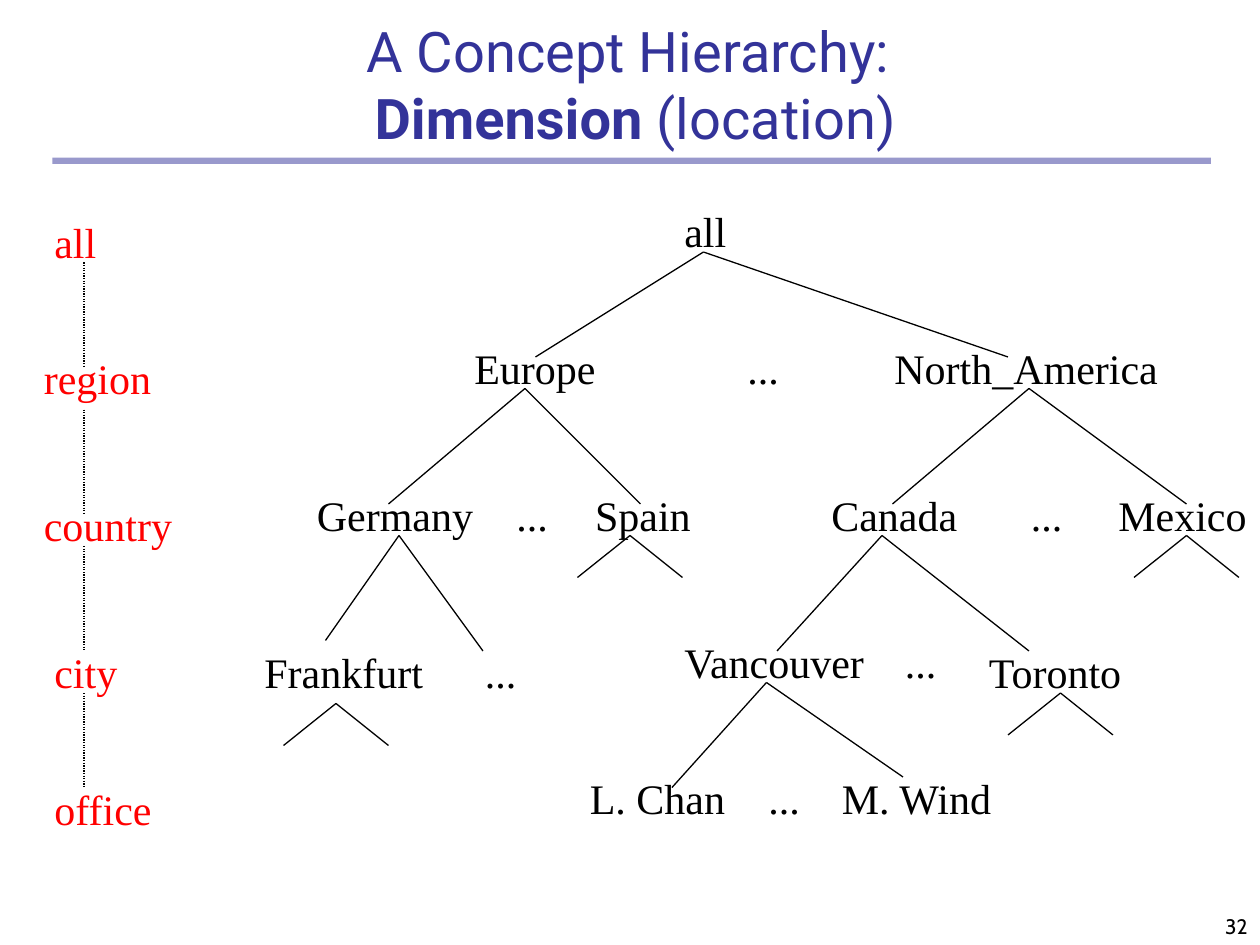
import pptx
import pptx.dml.color
import pptx.enum.dml
import pptx.enum.shapes
import pptx.enum.text
import pptx.oxml.ns
import pptx.util
from lxml import etree

Pt = pptx.util.Pt
Anchor = pptx.enum.text.MSO_ANCHOR
Align = pptx.enum.text.PP_ALIGN
Fit = pptx.enum.text.MSO_AUTO_SIZE

COLORS = {"title": "333399", "rule": "9999CC", "level": "FF0000", "ink": "000000"}
SERIF = "Times New Roman"

# text, left, top, width
LEVELS = [
    ("all", 24, 120, 39),
    ("region", 18, 198, 75.5),
    ("country", 18, 282, 88),
    ("city", 24, 366, 50.5),
    ("office", 24, 444, 70.5),
]
NODES = [
    ("all", 384, 114, 39),
    ("Europe", 264, 192, 83.5),
    ("North_America", 504, 192, 165),
    ("Germany", 174, 276, 103.5),
    ("Spain", 333, 276, 69),
    ("Canada", 468, 276, 86.5),
    ("Mexico", 632, 276, 88),
    ("Frankfurt", 144, 366, 105),
    ("Vancouver", 384, 360, 119.5),
    ("Toronto", 558, 366, 91.5),
    ("L. Chan", 330, 438, 91.5),
    ("M. Wind", 474, 438, 101),
]
DOTS = [(420, 192), (288, 276), (582, 276), (270, 366), (510, 360), (432, 438)]

# parent point, then the ends of its left and right branch
FORKS = [
    ((402, 144), (306, 204), (576, 204)),
    ((300, 222), (222, 288), (366, 288)),
    ((588, 222), (510, 288), (678, 288)),
    ((228, 306), (186, 366), (276, 372)),
    ((504, 306), (444, 372), (588, 372)),
    ((438, 390), (384, 450), (516, 444)),
]
STUBS = [(360, 306), (678, 306), (192, 402), (606, 396)]
STEPS = [(150, 210), (234, 294), (312, 372), (396, 450)]


def rgb(key):
    return pptx.dml.color.RGBColor.from_string(COLORS[key])


def style(run, font, size, color, bold=False):
    run.font.name = font
    run.font.size = Pt(size)
    run.font.bold = bold
    run.font.color.rgb = rgb(color)


def head(slide):
    title = slide.shapes.title
    title.left, title.top, title.width, title.height = Pt(48), Pt(42), Pt(630), Pt(48)
    frame = title.text_frame
    frame.auto_size = Fit.NONE
    frame.vertical_anchor = Anchor.BOTTOM
    para = frame.paragraphs[0]
    para.text = "A Concept Hierarchy: \vDimension"
    para.alignment = Align.CENTER
    para.add_run().text = " (location)"
    for run in para.runs:
        style(run, "Roboto", 32, "title", run.text == "Dimension")


def rule(slide):
    bar = slide.shapes.add_shape(
        pptx.enum.shapes.MSO_SHAPE.RECTANGLE, Pt(30), Pt(90), Pt(662), Pt(3.6))
    bar.shadow.inherit = False
    bar.fill.solid()
    bar.fill.fore_color.rgb = rgb("rule")
    bar.line.fill.background()


def label(slide, text, left, top, width, color="ink"):
    box = slide.shapes.add_textbox(Pt(left), Pt(top), Pt(width), Pt(36))
    frame = box.text_frame
    frame.text = text
    frame.word_wrap = False
    frame.auto_size = Fit.SHAPE_TO_FIT_TEXT
    style(frame.paragraphs[0].runs[0], SERIF, 24, color)


def line(slide, start, end, dash=None):
    link = slide.shapes.add_connector(
        pptx.enum.shapes.MSO_CONNECTOR.STRAIGHT, *map(Pt, start + end))
    link.line.color.rgb = rgb("ink")
    link.line.width = Pt(0.75)
    if dash:
        link.line.dash_style = dash
    props = link.element.find(pptx.oxml.ns.qn("p:spPr"))
    etree.SubElement(props, pptx.oxml.ns.qn("a:effectLst"))


def fork(slide, top, *ends):
    for end in ends:
        line(slide, top, end)


def number(slide):
    box = slide.shapes.add_textbox(Pt(570), Pt(504), Pt(150), Pt(36))
    frame = box.text_frame
    frame.text = "32"
    frame.word_wrap = True
    frame.vertical_anchor = Anchor.BOTTOM
    para = frame.paragraphs[0]
    para.alignment = Align.RIGHT
    style(para.runs[0], "Cabin", 12, "ink")


def main():
    deck = pptx.Presentation()
    deck.slide_width, deck.slide_height = Pt(720), Pt(540)
    slide = deck.slides.add_slide(deck.slide_layouts[5])
    rule(slide)
    number(slide)
    head(slide)
    for node in NODES:
        label(slide, *node)
    for left, top in DOTS:
        label(slide, "...", left, top, 32.4)
    for level in LEVELS:
        label(slide, *level, color="level")
    for top, *ends in FORKS:
        fork(slide, top, *ends)
    for x, y in STUBS:
        fork(slide, (x, y), (x - 30, y + 24), (x + 30, y + 24))
    for top, end in STEPS:
        line(slide, (48, top), (48, end), pptx.enum.dml.MSO_LINE.ROUND_DOT)
    deck.save("out.pptx")


if __name__ == "__main__":
    main()
